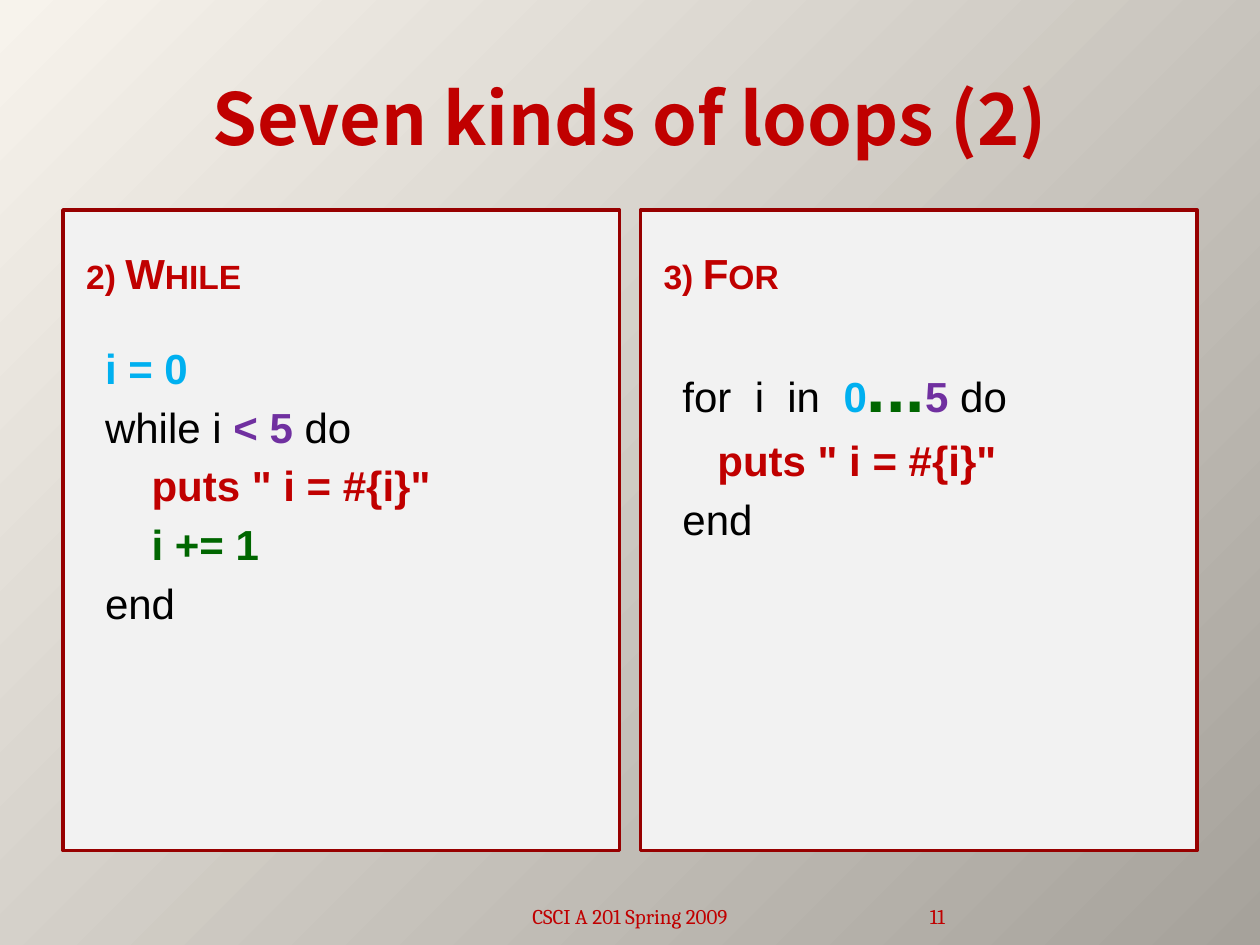
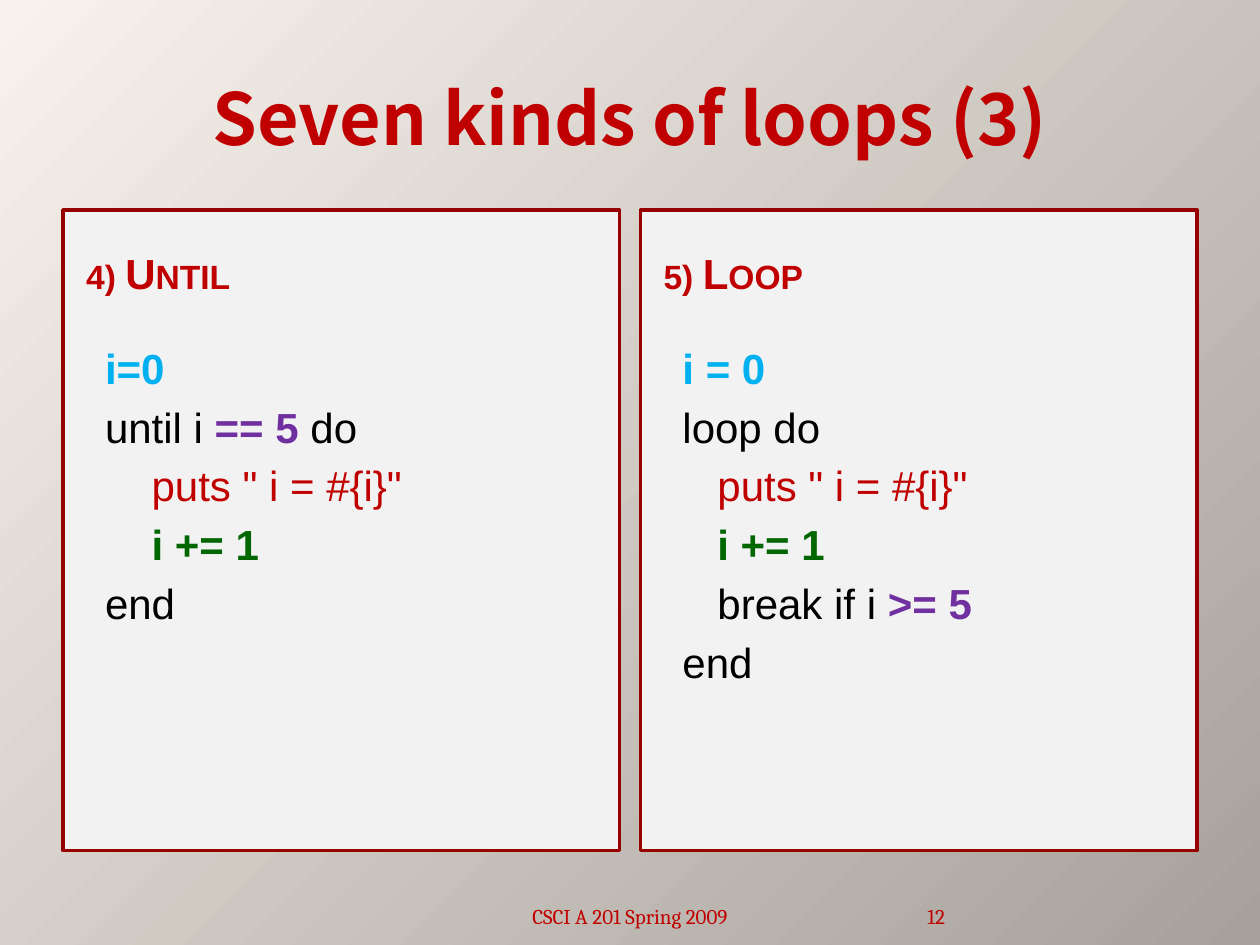
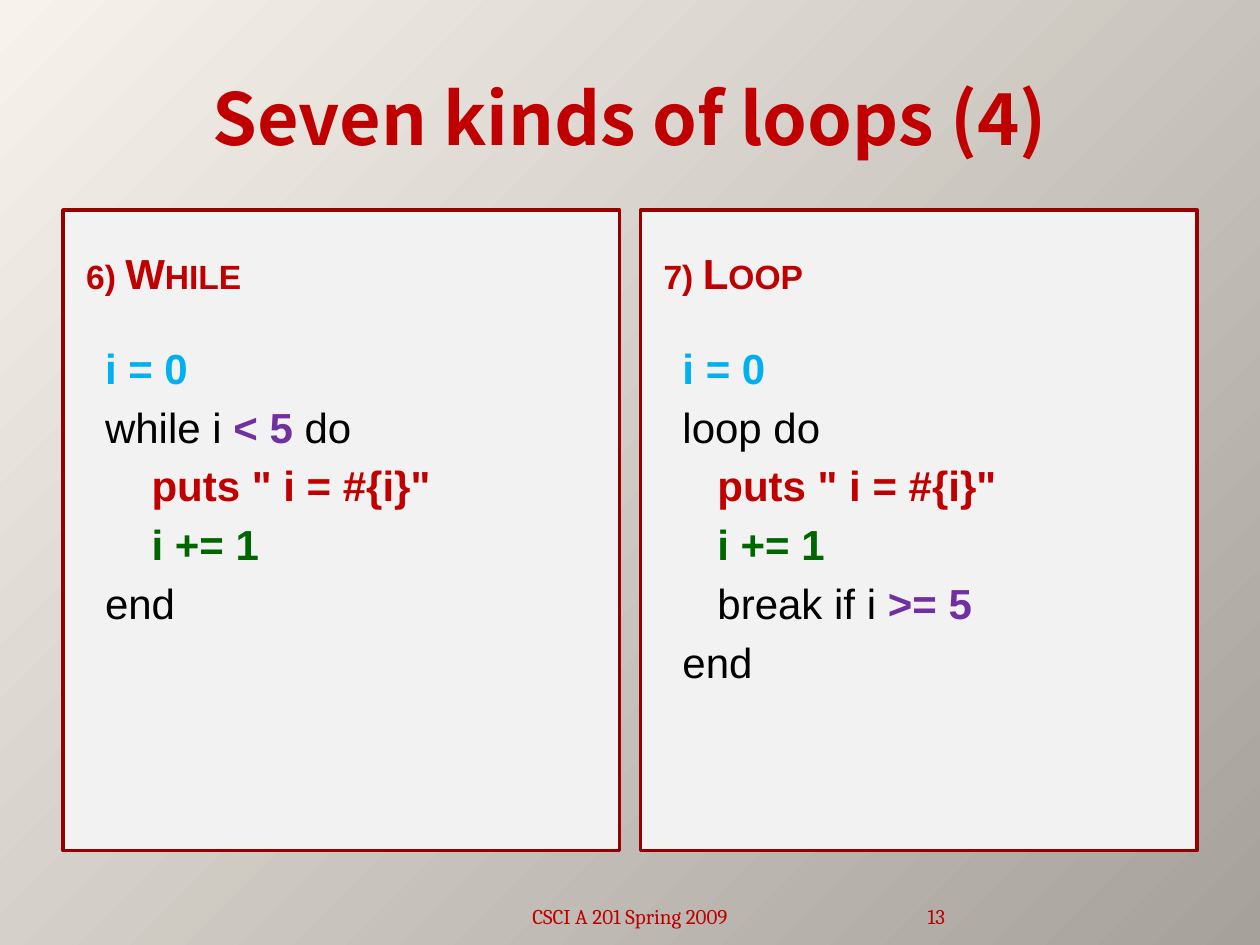
import pptx
import pptx.util
import pptx.dml.color
import pptx.enum.shapes
import pptx.enum.text
import pptx.oxml
import pptx.oxml.ns

Pt = pptx.util.Pt
RGBColor = pptx.dml.color.RGBColor
Align = pptx.enum.text.PP_ALIGN
Anchor = pptx.enum.text.MSO_ANCHOR

RED = RGBColor(0xC0, 0x00, 0x00)
DARK_RED = RGBColor(0x97, 0x00, 0x00)
PANEL_GREY = RGBColor(0xF2, 0xF2, 0xF2)
BLACK = RGBColor(0x00, 0x00, 0x00)
BLUE = RGBColor(0x00, 0xB0, 0xF0)
PURPLE = RGBColor(0x70, 0x30, 0xA0)
GREEN = RGBColor(0x00, 0x66, 0x00)
BACKGROUND_START = RGBColor(0xF7, 0xF3, 0xEC)
BACKGROUND_END = RGBColor(0xA6, 0xA2, 0x9B)

TITLE_FONT = "Noto Sans CJK SC"
CODE_FONT = "Arial"
FOOTER_FONT = "Cambria"
CODE_SIZE = 24
FIRST_NUMBER = 11

TITLE_BOX = (36, 21.6, 648, 90)
PANEL_BOXES = [(36, 120, 318, 366), (366, 120, 318, 366)]
FOOTER_BOX = (246, 505.5, 228, 28.8)
NUMBER_BOX = (480, 505.5, 60, 28.8)
PANEL_PADDING = 6
HEADING_HEIGHT = 60

START = [("i = 0", BLUE, True)]
END = [("end", BLACK, False)]
LOOP = [("loop do", BLACK, False)]
BREAK = [("   break if i ", BLACK, False), (">= 5", PURPLE, True)]


def puts(indent, bold=True):
    return [(" " * indent + 'puts " i = #{i}"', RED, bold)]


def increment(indent):
    return [(" " * indent + "i += 1", GREEN, True)]


def condition(keyword, test):
    return [(keyword + " i ", BLACK, False), (test, PURPLE, True), (" do", BLACK, False)]


WHILE_CODE = [START, condition("while", "< 5"), puts(4), increment(4), END]
UNTIL_CODE = [[("i=0", BLUE, True)], condition("until", "== 5"),
              puts(4, False), increment(4), END]
FOR_CODE = [
    [("for  i  in  ", BLACK, False), ("0", BLUE, True), ("...", GREEN, True, 40),
     ("5", PURPLE, True), (" do", BLACK, False)],
    puts(3),
    END,
]


def loop_code(bold):
    return [START, LOOP, puts(3, bold), increment(3), BREAK, END]


SLIDES = [
    ("Seven kinds of loops (2)", [("2) While", WHILE_CODE), ("3) For", FOR_CODE)]),
    ("Seven kinds of loops (3)", [("4) Until", UNTIL_CODE), ("5) Loop", loop_code(False))]),
    ("Seven kinds of loops (4)", [("6) While", WHILE_CODE), ("7) Loop", loop_code(True))]),
]


def place(shape, box):
    shape.left, shape.top, shape.width, shape.height = (Pt(length) for length in box)


def fill_grey(shape):
    shape.fill.solid()
    shape.fill.fore_color.rgb = PANEL_GREY


def prepare_frame(shape, anchor):
    frame = shape.text_frame
    frame.word_wrap = True
    frame.auto_size = pptx.enum.text.MSO_AUTO_SIZE.NONE
    frame.vertical_anchor = anchor
    return frame


def add_run(paragraph, text, color, bold, size=CODE_SIZE, font=CODE_FONT):
    run = paragraph.add_run()
    run.text = text
    run.font.name = font
    run.font.size = Pt(size)
    run.font.bold = bold
    run.font.color.rgb = color
    return run


def set_bullet_free(paragraph, margin, indent):
    properties = paragraph._p.get_or_add_pPr()
    properties.set("marL", str(Pt(margin)))
    properties.set("indent", str(Pt(indent)))
    properties.append(pptx.oxml.parse_xml(
        "<a:buNone %s/>" % pptx.oxml.ns.nsdecls("a")))


def set_background(master):
    fill = master.background.fill
    fill.gradient()
    for stop, color in zip(fill.gradient_stops, (BACKGROUND_START, BACKGROUND_END)):
        stop.color.rgb = color
    fill.gradient_stops[0].position = 0
    fill.gradient_stops[1].position = 1
    linear = master.element.find(".//" + pptx.oxml.ns.qn("p:bg")).find(
        ".//" + pptx.oxml.ns.qn("a:lin"))
    linear.getparent().replace(linear, pptx.oxml.parse_xml(
        '<a:path %s path="circle"><a:fillToRect l="0" t="0" r="100000" b="100000"/></a:path>'
        % pptx.oxml.ns.nsdecls("a")))


def add_panel(slide, box):
    panel = slide.shapes.add_shape(
        pptx.enum.shapes.MSO_SHAPE.RECTANGLE, *(Pt(length) for length in box))
    panel.shadow.inherit = False
    fill_grey(panel)
    panel.line.color.rgb = DARK_RED
    panel.line.width = Pt(2)
    slide.shapes.element.insert(2, panel.element)


def fill_title(shape, text):
    place(shape, TITLE_BOX)
    paragraph = prepare_frame(shape, Anchor.MIDDLE).paragraphs[0]
    paragraph.alignment = Align.CENTER
    add_run(paragraph, text, RED, True, 41, TITLE_FONT)


def fill_heading(shape, box, text):
    place(shape, box)
    fill_grey(shape)
    paragraph = prepare_frame(shape, Anchor.MIDDLE).paragraphs[0]
    paragraph.space_before = Pt(0)
    run = add_run(paragraph, text, RED, True)
    run._r.get_or_add_rPr().set("cap", "small")


def fill_code(shape, box, lines):
    place(shape, box)
    fill_grey(shape)
    frame = prepare_frame(shape, Anchor.TOP)
    for index, line in enumerate(lines):
        paragraph = frame.add_paragraph() if index else frame.paragraphs[0]
        set_bullet_free(paragraph, 43.2, -32.4)
        if index == 0:
            paragraph.space_before = Pt(0)
        for piece in line:
            add_run(paragraph, *piece)


def fill_column(slide, box, heading_shape, code_shape, heading, code):
    left, top, width, height = box
    add_panel(slide, box)
    inner_left = left + PANEL_PADDING
    inner_width = width - 2 * PANEL_PADDING
    heading_top = top + PANEL_PADDING
    code_top = heading_top + HEADING_HEIGHT + PANEL_PADDING
    code_height = top + height - PANEL_PADDING - code_top
    fill_heading(heading_shape, (inner_left, heading_top, inner_width, HEADING_HEIGHT), heading)
    fill_code(code_shape, (inner_left, code_top, inner_width, code_height), code)


def add_footer_text(slide, box, text, alignment, side_margin):
    shape = slide.shapes.add_textbox(*(Pt(length) for length in box))
    frame = prepare_frame(shape, Anchor.BOTTOM)
    frame.margin_left = frame.margin_right = Pt(side_margin)
    paragraph = frame.paragraphs[0]
    paragraph.alignment = alignment
    add_run(paragraph, text, RED, False, 12, FOOTER_FONT)


def add_loop_slide(presentation, number, title, columns):
    slide = presentation.slides.add_slide(
        presentation.slide_layouts.get_by_name("Comparison"))
    fill_title(slide.shapes.title, title)
    bodies = [shape for shape in slide.placeholders if shape.placeholder_format.idx > 0]
    for box, heading_shape, code_shape, (heading, code) in zip(
            PANEL_BOXES, bodies[::2], bodies[1::2], columns):
        fill_column(slide, box, heading_shape, code_shape, heading, code)
    add_footer_text(slide, FOOTER_BOX, "CSCI A 201 Spring 2009", Align.CENTER, 7.2)
    add_footer_text(slide, NUMBER_BOX, str(number), Align.RIGHT, 0)


def main():
    presentation = pptx.Presentation()
    presentation.slide_width = Pt(720)
    presentation.slide_height = Pt(540)
    set_background(presentation.slide_master)
    for number, (title, columns) in enumerate(SLIDES, FIRST_NUMBER):
        add_loop_slide(presentation, number, title, columns)
    presentation.save("out.pptx")


if __name__ == "__main__":
    main()
